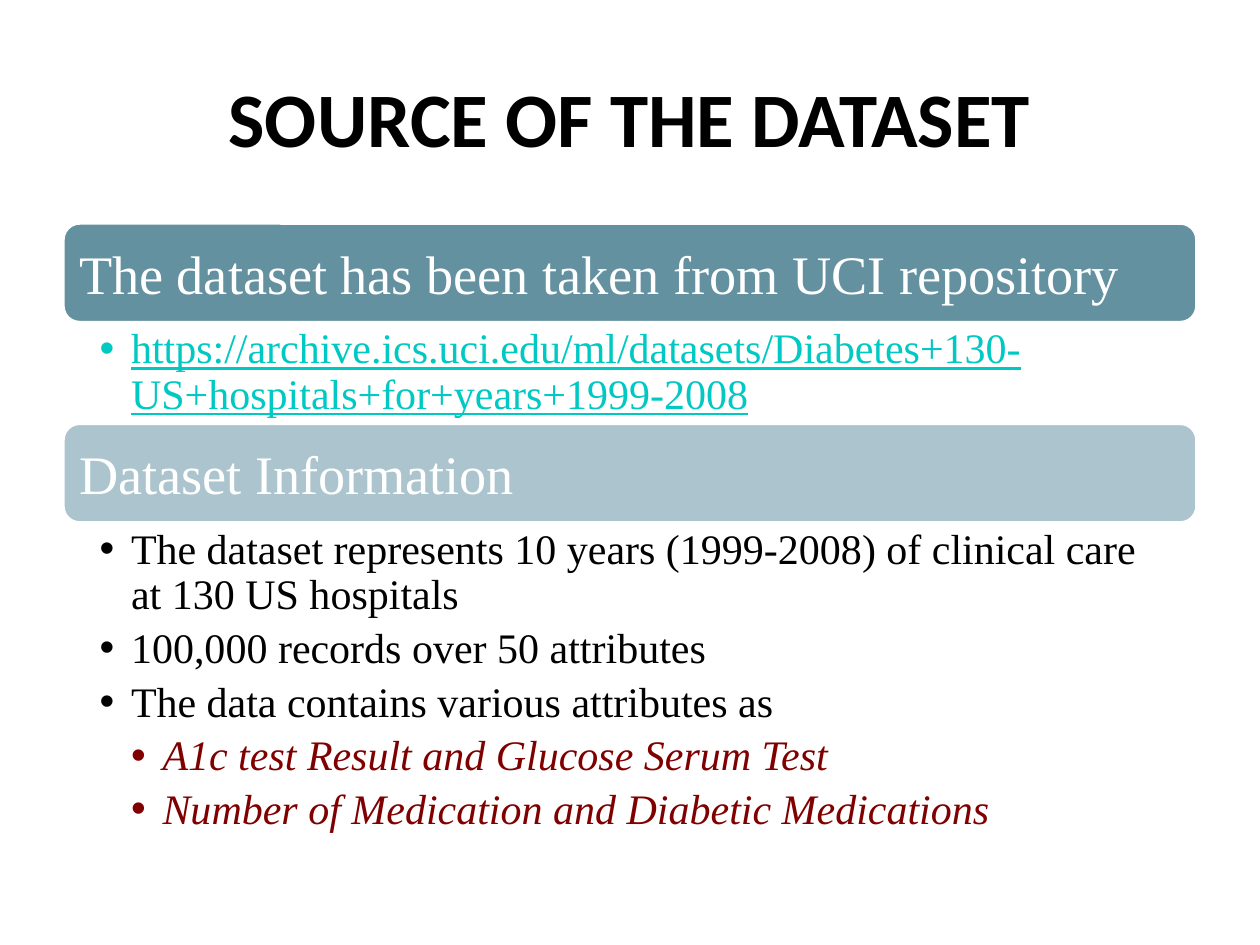
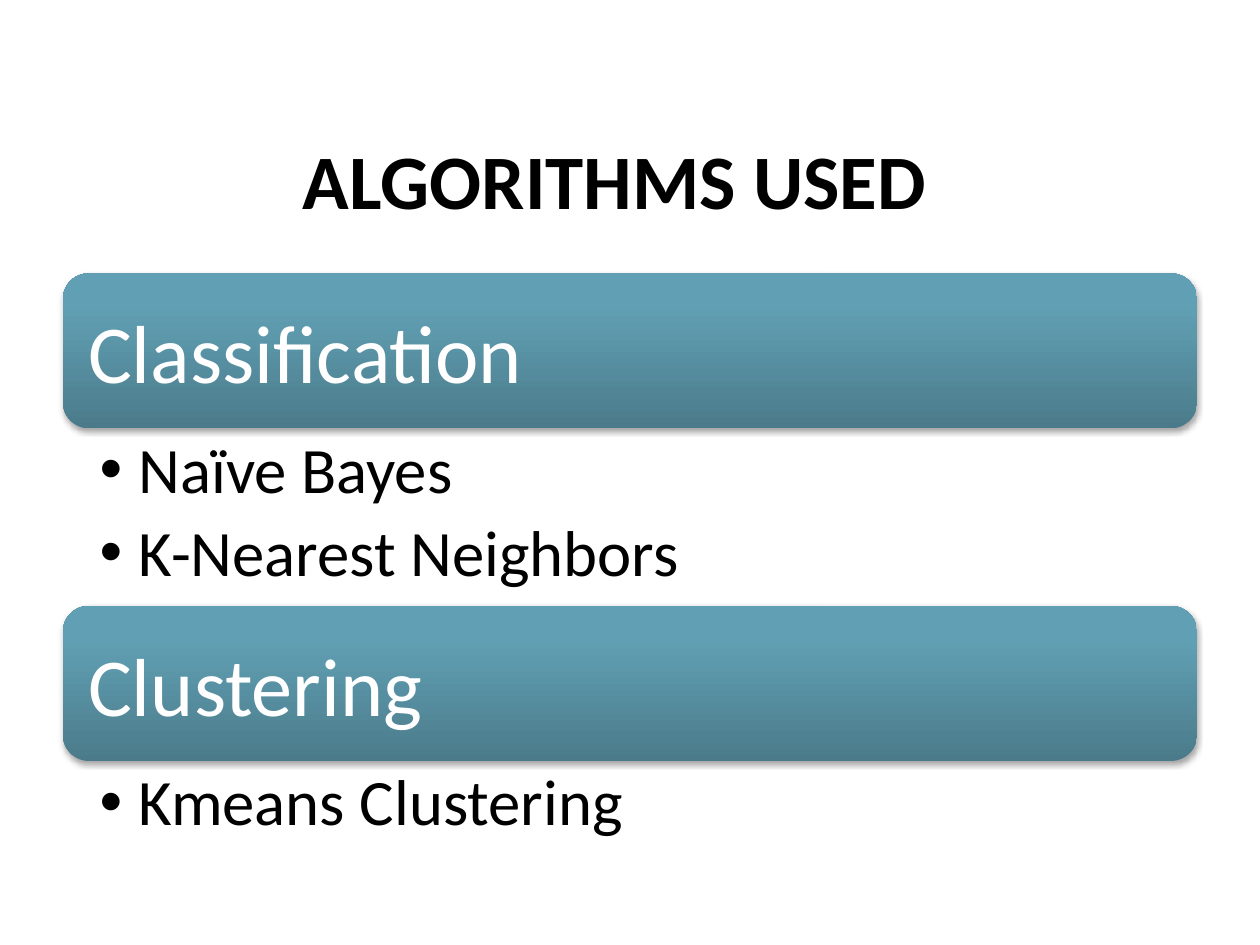
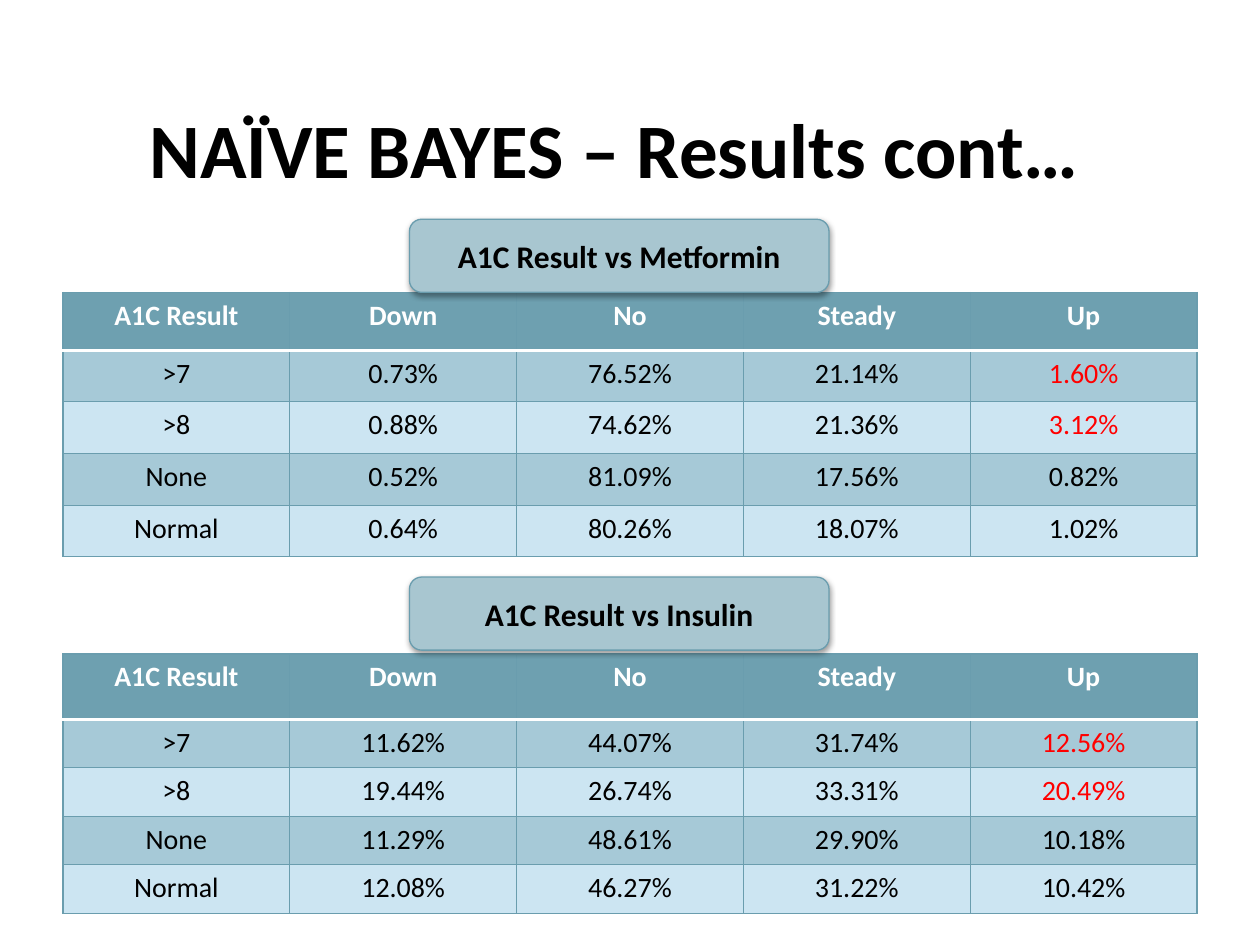
from dataclasses import dataclass

from lxml import etree
from pptx import Presentation
from pptx import util as u
from pptx.dml.color import RGBColor
from pptx.enum import shapes, text
from pptx.oxml import ns

COLORS = {
    "ink": "000000",
    "white": "FFFFFF",
    "deep": "6491A0",
    "pale": "ACC4CD",
    "link": "00C8C3",
    "maroon": "800000",
    "alert": "FF0000",
    "header": "6EA0B0",
    "border": "6A9DAE",
    "caption": "A8C6D0",
    "odd_row": "A6C9D7",
    "even_row": "CCE5F2",
}
GRADIENT = ((0, "4B7B8B"), (80, "61A0B4"), (100, "60A2B7"))
SANS = "Calibri"
SERIF = "Times New Roman"
LEFT, WIDTH = 0.5, 9
COLUMNS = ("A1C Result", "Down", "No", "Steady", "Up")


@dataclass(frozen=True)
class Box:
    left: float
    top: float
    width: float
    height: float

    def lengths(self) -> tuple:
        return tuple(u.Inches(v) for v in (self.left, self.top, self.width, self.height))


@dataclass(frozen=True)
class Style:
    size: float
    font: str = SANS
    color: str = "ink"
    bold: bool = False
    italic: bool = False
    underline: bool = False


@dataclass(frozen=True)
class Point:
    words: str
    level: int = 1
    color: str = "ink"
    italic: bool = False
    underline: bool = False


@dataclass(frozen=True)
class Section:
    heading: str
    points: tuple
    height: float
    fill: str = ""


@dataclass(frozen=True)
class Outline:
    top: float
    band_height: float
    font: str
    heading_size: float
    heading_inset: float
    point_size: float
    indent: float
    insets: tuple
    sections: tuple


@dataclass(frozen=True)
class Comparison:
    caption: str
    caption_top: float
    table_top: float
    header_height: float
    row_height: float
    rows: tuple


SOURCE = Outline(1.77, 0.79, SERIF, 31, 0.09, 24, 0.25, (0.29, 0.04, 0.24, 0.04), (
    Section("The dataset has been taken from UCI repository", (
        Point("https://archive.ics.uci.edu/ml/datasets/Diabetes+130-US+hospitals+for+years+1999-2008",
              color="link", underline=True),
    ), 0.8, "deep"),
    Section("Dataset Information", (
        Point("The dataset represents 10 years (1999-2008) of clinical care at 130 US hospitals"),
        Point("100,000 records over 50 attributes"),
        Point("The data contains various attributes as"),
        Point("A1c test Result and Glucose Serum Test", 2, "maroon", True),
        Point("Number of Medication and Diabetic Medications", 2, "maroon", True),
    ), 2.53, "pale"),
))

ALGORITHMS = Outline(2.17, 1.23, SANS, 47, 0.14, 37, 0.31, (0.29, 0.07, 0.37, 0.07), (
    Section("Classification", (Point("Naïve Bayes"), Point("K-Nearest Neighbors")), 1.41),
    Section("Clustering", (Point("Kmeans Clustering"),), 0.85),
))

COMPARISONS = (
    Comparison("A1C Result vs Metformin", 1.74, 2.32, 0.46, 0.41, (
        (">7", "0.73%", "76.52%", "21.14%", "1.60%"),
        (">8", "0.88%", "74.62%", "21.36%", "3.12%"),
        ("None", "0.52%", "81.09%", "17.56%", "0.82%"),
        ("Normal", "0.64%", "80.26%", "18.07%", "1.02%"),
    )),
    Comparison("A1C Result vs Insulin", 4.58, 5.19, 0.52, 0.385, (
        (">7", "11.62%", "44.07%", "31.74%", "12.56%"),
        (">8", "19.44%", "26.74%", "33.31%", "20.49%"),
        ("None", "11.29%", "48.61%", "29.90%", "10.18%"),
        ("Normal", "12.08%", "46.27%", "31.22%", "10.42%"),
    )),
)


def rgb(name: str) -> RGBColor:
    return RGBColor.from_string(COLORS[name])


def add_xml(parent, tag: str, **attributes):
    return etree.SubElement(parent, ns.qn(tag), {k: str(v) for k, v in attributes.items()})


def add_run(paragraph, words: str, style: Style) -> None:
    run = paragraph.add_run()
    run.text = words
    font = run.font
    font.name, font.size = style.font, u.Pt(style.size)
    font.bold, font.italic, font.underline = style.bold, style.italic, style.underline
    font.color.rgb = rgb(style.color)


def prepare_frame(frame, insets: tuple, anchor) -> None:
    frame.word_wrap = True
    frame.vertical_anchor = anchor
    frame.margin_left, frame.margin_top, frame.margin_right, frame.margin_bottom = map(u.Inches, insets)


def add_title(slide, words: str, box: Box) -> None:
    frame = slide.shapes.add_textbox(*box.lengths()).text_frame
    prepare_frame(frame, (0.1, 0.05, 0.1, 0.05), text.MSO_ANCHOR.MIDDLE)
    paragraph = frame.paragraphs[0]
    paragraph.alignment = text.PP_ALIGN.CENTER
    add_run(paragraph, words, Style(44, bold=True))


def add_shadow(shape, opacity: int, distance: float) -> None:
    effects = shape._element.spPr.find(ns.qn("a:effectLst"))
    shadow = add_xml(effects, "a:outerShdw", blurRad=u.Pt(3.1), dist=u.Pt(distance),
                     dir=5400000, rotWithShape=0)
    color = add_xml(shadow, "a:srgbClr", val=COLORS["ink"])
    add_xml(color, "a:alpha", val=opacity * 1000)


def fill_gradient(shape) -> None:
    shape.fill.gradient()
    shape.fill.gradient_angle = 90
    stops = shape._element.spPr.find(ns.qn("a:gradFill")).find(ns.qn("a:gsLst"))
    for stop in list(stops):
        stops.remove(stop)
    for position, color in GRADIENT:
        add_xml(add_xml(stops, "a:gs", pos=position * 1000), "a:srgbClr", val=color)


def add_band(slide, box: Box, words: str, style: Style, inset: float, align,
             fill: str = "", line: str = "", line_width: float = 0):
    band = slide.shapes.add_shape(shapes.MSO_SHAPE.ROUNDED_RECTANGLE, *box.lengths())
    band.shadow.inherit = False
    if fill:
        band.fill.solid()
        band.fill.fore_color.rgb = rgb(fill)
    else:
        fill_gradient(band)
    if line:
        band.line.color.rgb = rgb(line)
        band.line.width = u.Pt(line_width)
    else:
        band.line.fill.background()
    prepare_frame(band.text_frame, (inset, 0.05, inset, 0.05), text.MSO_ANCHOR.MIDDLE)
    paragraph = band.text_frame.paragraphs[0]
    paragraph.alignment = align
    add_run(paragraph, words, style)
    return band


def add_points(slide, box: Box, points: tuple, outline: Outline) -> None:
    frame = slide.shapes.add_textbox(*box.lengths()).text_frame
    prepare_frame(frame, outline.insets, text.MSO_ANCHOR.TOP)
    for index, point in enumerate(points):
        paragraph = frame.add_paragraph() if index else frame.paragraphs[0]
        paragraph.level = point.level
        paragraph.line_spacing = 0.9
        paragraph.space_after = u.Pt(outline.point_size * 0.2)
        properties = paragraph._p.get_or_add_pPr()
        properties.set("marL", str(u.Inches(outline.indent * point.level)))
        properties.set("indent", str(-u.Inches(outline.indent)))
        add_xml(properties, "a:buFont", typeface="Arial")
        add_xml(properties, "a:buChar", char="•")
        add_run(paragraph, point.words, Style(outline.point_size, outline.font, point.color,
                                              italic=point.italic, underline=point.underline))


def add_outline(slide, outline: Outline) -> None:
    top = outline.top
    heading = Style(outline.heading_size, outline.font, "white")
    for section in outline.sections:
        band = add_band(slide, Box(LEFT, top, WIDTH, outline.band_height), section.heading, heading,
                        outline.heading_inset, text.PP_ALIGN.LEFT, section.fill,
                        "white" if section.fill else "", 2)
        if not section.fill:
            add_shadow(band, 35, 1.8)
        top += outline.band_height
        add_points(slide, Box(LEFT, top, WIDTH, section.height), section.points, outline)
        top += section.height


def add_border(cell, side: str, color: str, width: float) -> None:
    line = add_xml(cell._tc.get_or_add_tcPr(), f"a:ln{side}", w=u.Pt(width))
    add_xml(add_xml(line, "a:solidFill"), "a:srgbClr", val=COLORS[color])


def fill_cell(cell, words: str, row: int, column: int) -> None:
    rule = ("white", 2)
    thin = ("border", 0.75)
    borders = {"L": thin, "R": thin, "T": rule if row == 1 else thin, "B": rule if row == 0 else thin}
    for side, (color, width) in borders.items():
        add_border(cell, side, color, width)
    cell.fill.solid()
    cell.fill.fore_color.rgb = rgb("header" if row == 0 else "odd_row" if row % 2 else "even_row")
    highlighted = row in (1, 2) and column == len(COLUMNS) - 1
    color = "white" if row == 0 else "alert" if highlighted else "ink"
    paragraph = cell.text_frame.paragraphs[0]
    paragraph.alignment = text.PP_ALIGN.CENTER
    add_run(paragraph, words, Style(16, color=color, bold=row == 0))


def add_results(slide, comparison: Comparison) -> None:
    rows = (COLUMNS, *comparison.rows)
    height = comparison.header_height + comparison.row_height * len(comparison.rows)
    box = Box(LEFT, comparison.table_top, WIDTH, height)
    table = slide.shapes.add_table(len(rows), len(COLUMNS), *box.lengths()).table
    for column in table.columns:
        column.width = u.Inches(WIDTH / len(COLUMNS))
    for row, values in enumerate(rows):
        table.rows[row].height = u.Inches(comparison.row_height if row else comparison.header_height)
        for column, value in enumerate(values):
            fill_cell(table.cell(row, column), value, row, column)


def add_caption(slide, comparison: Comparison) -> None:
    caption = add_band(slide, Box(3.25, comparison.caption_top, 3.33, 0.58), comparison.caption,
                       Style(18, bold=True), 0.1, text.PP_ALIGN.CENTER, "caption", "border", 0.75)
    add_shadow(caption, 38, 1.6)


def main() -> None:
    deck = Presentation()
    deck.slide_width, deck.slide_height = u.Inches(10), u.Inches(7.5)
    source, algorithms, results = (deck.slides.add_slide(deck.slide_layouts[6]) for _ in range(3))

    add_title(source, "SOURCE OF THE DATASET", Box(0.5, 0.3, 9, 1.25))
    add_outline(source, SOURCE)

    add_title(algorithms, "ALGORITHMS USED", Box(0.42, 0.92, 8.92, 1))
    add_outline(algorithms, ALGORITHMS)

    for comparison in COMPARISONS:
        add_results(results, comparison)
    for comparison in COMPARISONS:
        add_caption(results, comparison)
    add_title(results, "NAÏVE BAYES – Results cont…", Box(0.42, 0.67, 8.92, 1))

    deck.save("out.pptx")


if __name__ == "__main__":
    main()
